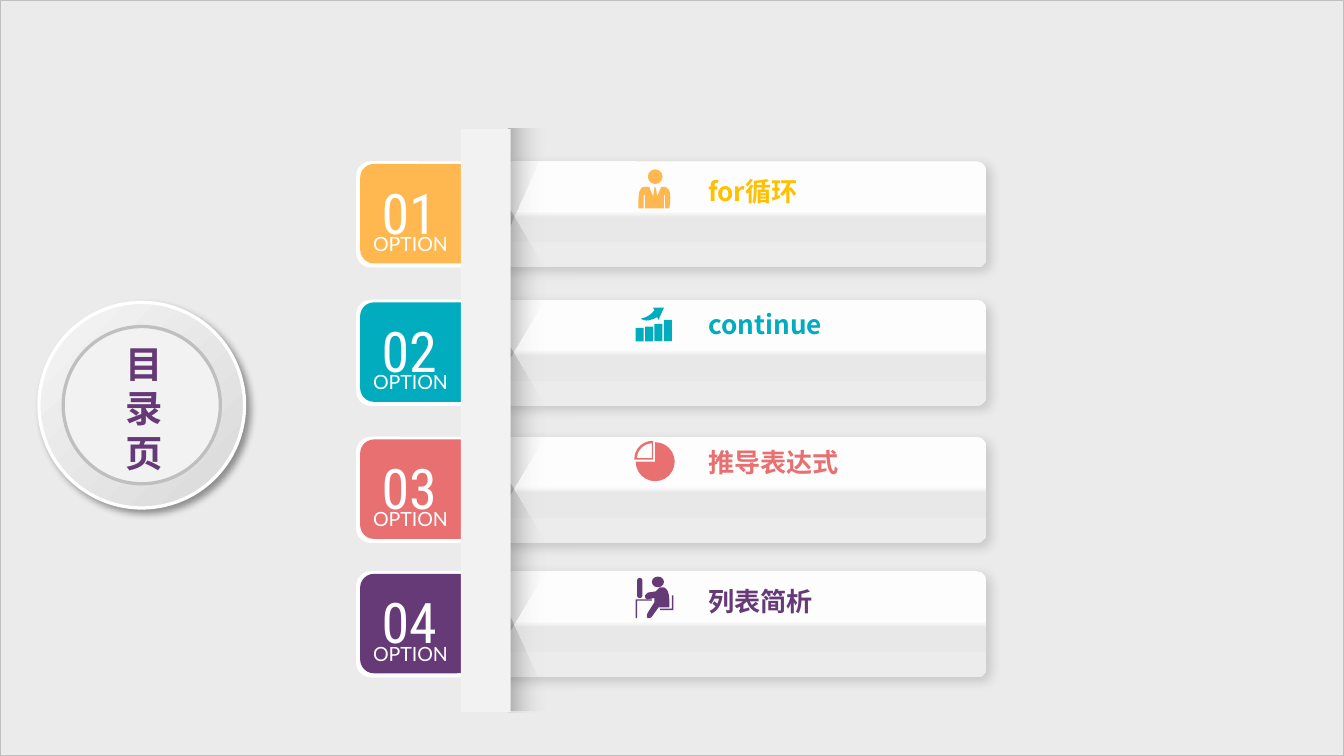
from dataclasses import dataclass
from typing import NamedTuple

from lxml import etree
from pptx import Presentation
from pptx.dml.color import RGBColor
from pptx.enum.shapes import MSO_SHAPE as Preset
from pptx.enum.text import MSO_ANCHOR as Anchor, PP_ALIGN as Align
from pptx.oxml.ns import qn
from pptx.util import Inches, Pt


@dataclass(frozen=True)
class Theme:
    """Colours, fonts and type sizes."""
    backdrop: str = "EBEBEB"
    border: str = "BFBFBF"
    white: str = "FFFFFF"
    strip: str = "F2F2F2"
    black: str = "000000"
    amber: str = "FFB850"
    gold: str = "FFC000"
    teal: str = "01ACBE"
    coral: str = "E87071"
    purple: str = "663A77"
    cjk: str = "Noto Sans CJK SC"
    digits: str = "Roboto Condensed"
    latin: str = "Lato"
    heading: float = 20
    title: float = 14
    number: float = 30
    label: float = 10.5


class Stop(NamedTuple):
    """One gradient stop, in percent."""
    pos: int
    color: str
    alpha: int = 100


class Shadow(NamedTuple):
    """Outer shadow cast at 45 degrees, in percent and points."""
    alpha: int
    blur: float
    distance: float


class Option(NamedTuple):
    """One entry of the table of contents."""
    number: str
    title: str
    color: str
    title_color: str
    top: float
    title_top: float


T = Theme()
WIDTH = Inches(10)
HEIGHT = WIDTH * 9 // 16
OPTIONS = [
    Option("01", "for循环", T.amber, T.gold, 1.2, 1.25),
    Option("02", "continue", T.teal, T.teal, 2.23, 2.24),
    Option("03", "推导表达式", T.coral, T.coral, 3.25, 3.27),
    Option("04", "列表简析", T.purple, T.purple, 4.25, 4.3),
]
CARD_STOPS = [Stop(47, "FDFDFD"), Stop(53, "E8E8E8"), Stop(100, "ECECEC")]
FADE = [Stop(0, T.black, 21), Stop(100, T.strip, 0)]

TORSO = [(4.98, 1.42), (4.97, 1.4, 4.95, 1.39, 4.94, 1.39), (4.92, 1.39), (4.9, 1.44),
         (4.87, 1.5), (4.89, 1.46), (4.88, 1.4), (4.87, 1.39), (4.87, 1.4), (4.86, 1.46),
         (4.85, 1.44), (4.83, 1.39), (4.8, 1.39), (4.78, 1.39, 4.77, 1.4, 4.76, 1.42),
         (4.75, 1.44, 4.75, 1.5, 4.75, 1.55), (4.79, 1.55), (4.79, 1.45), (4.8, 1.45),
         (4.8, 1.55), (4.94, 1.55), (4.94, 1.45), (4.95, 1.45), (4.95, 1.55), (4.98, 1.55),
         (4.99, 1.5, 4.99, 1.44, 4.98, 1.42)]
ARROW = [(4.87, 2.31), (4.86, 2.32, 4.83, 2.36, 4.77, 2.37), (4.77, 2.37, 4.8, 2.41, 4.89, 2.36),
         (4.9, 2.38), (4.94, 2.29), (4.86, 2.29)]
SLICE = [(4.72, 3.42), (4.86, 3.42), (4.86, 3.28), (4.78, 3.28, 4.72, 3.34, 4.72, 3.42)]
SLICE_HOLE = [(4.74, 3.41), (4.74, 3.35, 4.79, 3.3, 4.85, 3.3), (4.85, 3.41)]
DESK = [(4.73, 4.46), (4.85, 4.46), (4.85, 4.47), (4.74, 4.47), (4.74, 4.6), (4.73, 4.6)]
SITTER = [(4.82, 4.56), (4.81, 4.58, 4.81, 4.59, 4.82, 4.6), (4.83, 4.6, 4.84, 4.6, 4.85, 4.59),
          (4.9, 4.52), (4.98, 4.52), (4.98, 4.46), (4.98, 4.41, 4.96, 4.37, 4.93, 4.37),
          (4.91, 4.37), (4.9, 4.38, 4.89, 4.39, 4.88, 4.4), (4.82, 4.41), (4.8, 4.43),
          (4.8, 4.44), (4.8, 4.45, 4.81, 4.46, 4.82, 4.46), (4.87, 4.45), (4.87, 4.48)]
CHAIR = [(4.91, 4.53), (5, 4.53), (5, 4.43), (5.01, 4.43), (5.01, 4.54), (4.91, 4.54)]


def gradient(shape, stops: list[Stop], angle: int) -> None:
    """Fill a shape with a linear gradient."""
    shape.fill.gradient()
    fill = shape._element.spPr.find(qn("a:gradFill"))
    for child in list(fill):
        fill.remove(child)
    fill.set("rotWithShape", "1")
    stop_list = etree.SubElement(fill, qn("a:gsLst"))
    for stop in stops:
        mark = etree.SubElement(stop_list, qn("a:gs"), pos=str(stop.pos * 1000))
        color = etree.SubElement(mark, qn("a:srgbClr"), val=stop.color)
        etree.SubElement(color, qn("a:alpha"), val=str(stop.alpha * 1000))
    etree.SubElement(fill, qn("a:lin"), ang=str(angle * 60000), scaled="0")


def style(shape, fill, angle: int = 0, line: tuple[str, float] | None = None,
          shadow: Shadow | None = None):
    """Apply fill, outline and shadow to a shape."""
    shape.shadow.inherit = False
    if isinstance(fill, str):
        shape.fill.solid()
        shape.fill.fore_color.rgb = RGBColor.from_string(fill)
    else:
        gradient(shape, fill, angle)
    if line:
        shape.line.color.rgb = RGBColor.from_string(line[0])
        shape.line.width = Pt(line[1])
    else:
        shape.line.fill.background()
    if shadow:
        effects = shape._element.spPr.find(qn("a:effectLst"))
        outer = etree.SubElement(effects, qn("a:outerShdw"), blurRad=str(Pt(shadow.blur)),
                                 dist=str(Pt(shadow.distance)), dir="2700000",
                                 algn="tl", rotWithShape="0")
        color = etree.SubElement(outer, qn("a:srgbClr"), val=T.black)
        etree.SubElement(color, qn("a:alpha"), val=str(shadow.alpha * 1000))
    return shape


def block(slide, preset, box: tuple, fill, adjust: tuple = (), **look):
    """Draw a styled preset shape."""
    shape = slide.shapes.add_shape(preset, *map(Inches, box))
    for index, value in enumerate(adjust):
        shape.adjustments[index] = value
    return style(shape, fill, **look)


def flatten(outline: list[tuple], steps: int = 8) -> list[tuple]:
    """Turn lines and cubic curves into points in EMU."""
    points = [outline[0]]
    for part in outline[1:]:
        if len(part) == 2:
            points.append(part)
            continue
        nodes = [points[-1], part[:2], part[2:4], part[4:]]
        for step in range(1, steps + 1):
            t = step / steps
            weights = ((1 - t) ** 3, 3 * t * (1 - t) ** 2, 3 * t * t * (1 - t), t ** 3)
            points.append(tuple(sum(w * n[axis] for w, n in zip(weights, nodes))
                                for axis in (0, 1)))
    return [(Inches(x), Inches(y)) for x, y in points]


def outline(slide, fill, *contours: list[tuple]) -> None:
    """Draw a freeform from one or more closed contours."""
    first, *others = map(flatten, contours)
    builder = slide.shapes.build_freeform(*first[0])
    builder.add_line_segments(first[1:], close=True)
    for points in others:
        builder.move_to(*points[0])
        builder.add_line_segments(points[1:], close=True)
    style(builder.convert_to_shape(), fill)


def write(slide, box: tuple, words: str, font: str, size: float, color: str,
          bold: bool = False, align=Align.CENTER, spacing: float | None = None) -> None:
    """Add a one-paragraph text box."""
    frame = slide.shapes.add_textbox(*map(Inches, box)).text_frame
    frame.word_wrap = True
    frame.vertical_anchor = Anchor.MIDDLE
    paragraph = frame.paragraphs[0]
    paragraph.alignment = align
    if spacing:
        paragraph.line_spacing = Pt(spacing)
    run = paragraph.add_run()
    run.text = words
    run.font.size, run.font.bold, run.font.name = Pt(size), bold, font
    run.font.color.rgb = RGBColor.from_string(color)
    etree.SubElement(run._r.rPr, qn("a:ea"), typeface=font)


def draw_heading(slide) -> None:
    """Draw the round badge with the page heading."""
    block(slide, Preset.OVAL, (0.29, 2.25, 1.53, 1.53), [Stop(0, "F5F5F5"), Stop(100, "D9D9D9")],
          angle=45, line=(T.white, 1.75), shadow=Shadow(40, 4, 3))
    block(slide, Preset.OVAL, (0.47, 2.43, 1.17, 1.17), T.strip, line=(T.border, 1.75))
    write(slide, (0.75, 2.48, 0.65, 1.11), "目录页", T.cjk, T.heading, T.purple, True, spacing=24)


def draw_option(slide, option: Option) -> None:
    """Draw the numbered tab, card and title of an option."""
    top = option.top
    block(slide, Preset.ROUNDED_RECTANGLE, (2.65, top, 0.88, 0.79), T.white, (0.139,))
    block(slide, Preset.ROUNDED_RECTANGLE, (2.68, top + 0.02, 0.87, 0.74), option.color, (0.139,))
    write(slide, (2.62, top + 0.07, 0.85, 0.61), option.number, T.digits, T.number, T.white)
    write(slide, (2.63, top + 0.47, 0.85, 0.28), "OPTION", T.latin, T.label, T.white)
    block(slide, Preset.ROUNDED_RECTANGLE, (3.74, top, 3.6, 0.79), CARD_STOPS, (0.092,),
          angle=90, shadow=Shadow(14, 6, 3))
    write(slide, (5.17, option.title_top, 1.39, 0.34), option.title, T.cjk, T.title,
          option.title_color, True, Align.LEFT)


def draw_strip(slide) -> None:
    """Draw the vertical strip above the shading it casts."""
    block(slide, Preset.RECTANGLE, (3.78, 0.96, 0.28, 4.34),
          [Stop(0, T.black, 8), Stop(100, T.strip, 0)])
    outline(slide, FADE, [(4.07, 1.05), (3.78, 1.71), (3.78, 0.96), (4.07, 0.96)])
    for top in (1.97, 2.99, 4):
        block(slide, Preset.TRAPEZOID, (3.35, top, 1.15, 0.28),
              [Stop(0, T.strip, 0), Stop(100, T.black, 21)], (1.74,), angle=90).rotation = 90
    outline(slide, FADE, [(4.07, 5.2), (3.78, 4.56), (3.78, 5.29), (4.07, 5.29)])
    block(slide, Preset.RECTANGLE, (3.43, 0.96, 0.37, 4.34), T.strip)


def draw_icons(slide) -> None:
    """Draw the icon of each option."""
    block(slide, Preset.OVAL, (4.82, 1.26, 0.11, 0.11), T.amber)
    outline(slide, T.amber, TORSO)
    for index, height in enumerate((0.1, 0.11, 0.13, 0.16)):
        block(slide, Preset.RECTANGLE, (4.73 + 0.07 * index, 2.54 - height, 0.06, height), T.teal)
    outline(slide, T.teal, ARROW)
    block(slide, Preset.PIE, (4.73, 3.29, 0.29, 0.29), T.coral, (162, 108))
    outline(slide, T.coral, SLICE, SLICE_HOLE)
    block(slide, Preset.ROUNDED_RECTANGLE, (4.74, 4.3, 0.04, 0.15), T.purple, (0.5,))
    block(slide, Preset.OVAL, (4.85, 4.29, 0.09, 0.08), T.purple)
    for part in (DESK, SITTER, CHAIR):
        outline(slide, T.purple, part)


def main() -> None:
    """Build and save the contents slide."""
    deck = Presentation()
    deck.slide_width, deck.slide_height = WIDTH, HEIGHT
    slide = deck.slides.add_slide(deck.slide_layouts[6])
    block(slide, Preset.RECTANGLE, (0, 0, WIDTH.inches, HEIGHT / Inches(1)), T.backdrop,
          line=(T.border, 1))
    draw_heading(slide)
    for option in OPTIONS:
        draw_option(slide, option)
    draw_strip(slide)
    draw_icons(slide)
    deck.save("out.pptx")


if __name__ == "__main__":
    main()
